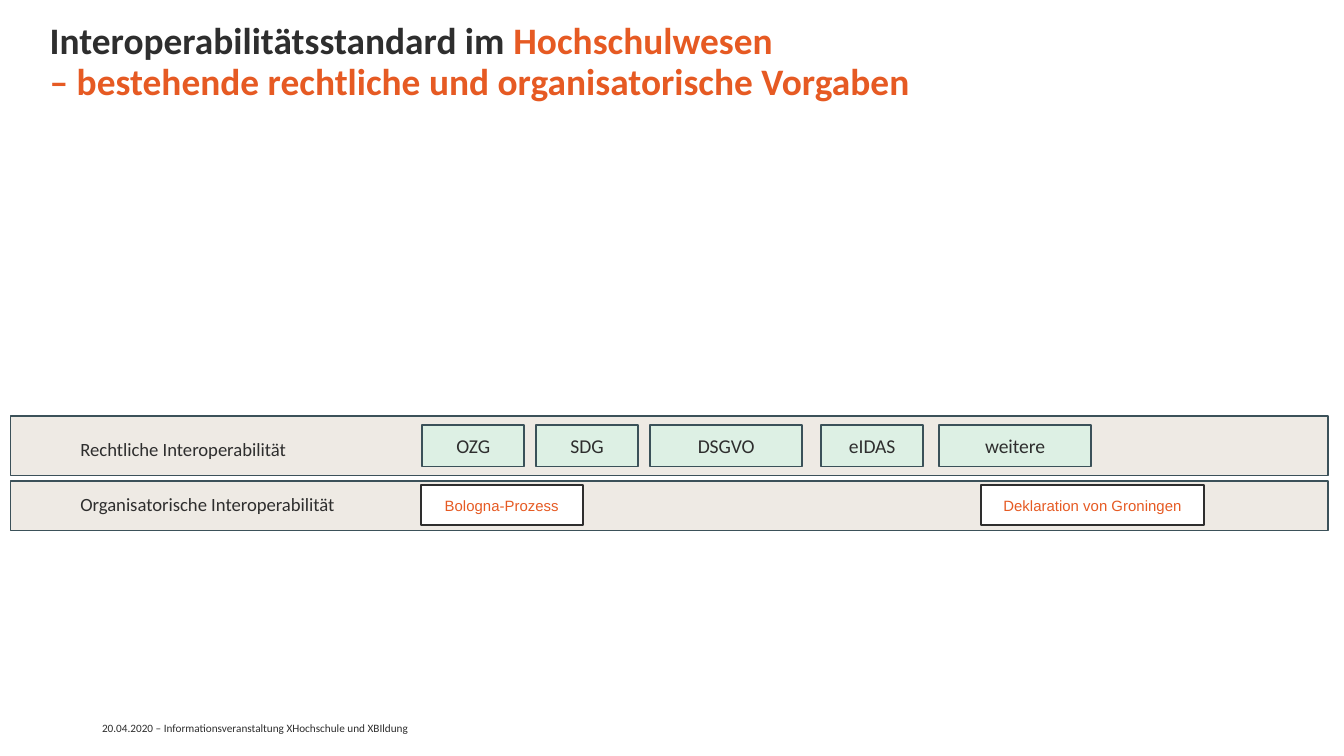
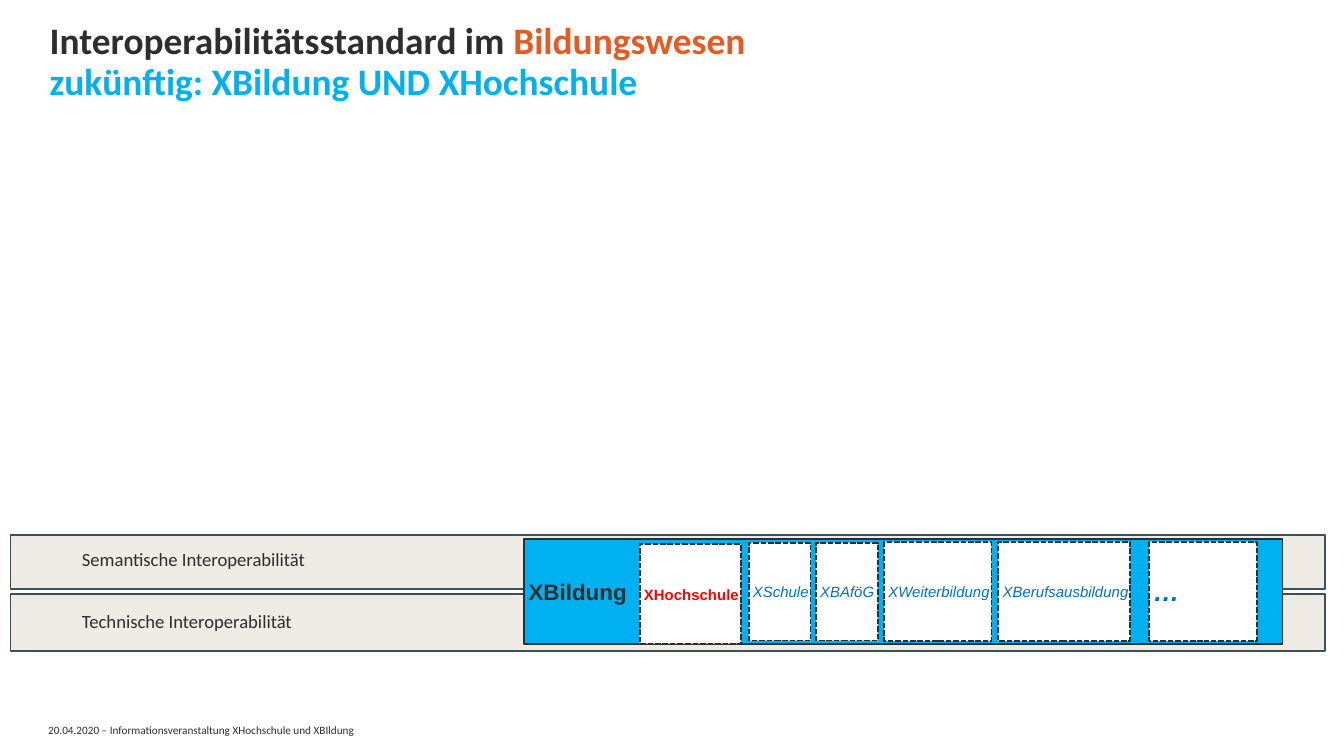
from dataclasses import dataclass
from typing import NamedTuple

from pptx import Presentation
from pptx.dml.color import RGBColor
from pptx.enum.dml import MSO_LINE_DASH_STYLE as DASH
from pptx.enum.shapes import MSO_SHAPE as SHAPE
from pptx.enum.text import MSO_ANCHOR as ANCHOR, PP_ALIGN as ALIGN
from pptx.presentation import Presentation as Deck
from pptx.shapes.autoshape import Shape
from pptx.slide import Slide
from pptx.util import Cm, Pt


@dataclass(frozen=True)
class Theme:
    ink: str = "2E2E2E"
    slate: str = "3B5159"
    sand: str = "EEEAE4"
    mint: str = "DDF0E4"
    white: str = "FFFFFF"
    orange: str = "E65A23"
    cyan: str = "00B0F0"
    blue: str = "0070C0"
    red: str = "FF0000"
    body_font: str = "Calibri"
    box_font: str = "Arial"
    title_size: float = 20
    label_size: float = 10
    law_size: float = 10.5
    box_size: float = 8
    frame_size: float = 12
    dots_size: float = 14
    footer_size: float = 6
    line_width: float = 1


THEME = Theme()
FOOTER = "20.04.2020 – Informationsveranstaltung XHochschule und XBIldung"


class Rect(NamedTuple):
    left: float
    top: float
    width: float
    height: float


class Insets(NamedTuple):
    left: float = 0
    top: float = 0
    right: float = 0
    bottom: float = 0


class Span(NamedTuple):
    text: str
    color: str


class Band(NamedTuple):
    rect: Rect
    label: str
    label_rect: Rect


@dataclass(frozen=True)
class TextStyle:
    size: float
    color: str = THEME.ink
    font: str = THEME.body_font
    bold: bool = False
    italic: bool = False


@dataclass(frozen=True)
class BoxStyle:
    fill: str
    line: str
    text: TextStyle
    align: ALIGN = ALIGN.CENTER
    insets: Insets = Insets()
    dashed: bool = False


@dataclass(frozen=True)
class Box:
    text: str
    rect: Rect
    style: BoxStyle


@dataclass(frozen=True)
class Page:
    title: list[list[Span]]
    title_width: float
    footer_left: float
    footer_top: float
    bands: list[Band]
    boxes: list[Box]


def module_style(text: TextStyle) -> BoxStyle:
    return BoxStyle(THEME.white, THEME.ink, text, ALIGN.LEFT, TEXT_GAP, dashed=True)


TEXT_GAP = Insets(left=0.08)
TITLE = TextStyle(THEME.title_size, bold=True)
LABEL = TextStyle(THEME.label_size)
FOOTNOTE = TextStyle(THEME.footer_size)
BAND = BoxStyle(THEME.sand, THEME.slate, LABEL)
LAW = BoxStyle(THEME.mint, THEME.slate, TextStyle(THEME.law_size),
               insets=Insets(0.25, 0.13, 0.25, 0.13))
AGREEMENT = BoxStyle(THEME.white, THEME.ink,
                     TextStyle(THEME.box_size, THEME.orange, THEME.box_font))
FRAME = BoxStyle(THEME.cyan, THEME.ink,
                 TextStyle(THEME.frame_size, THEME.ink, THEME.box_font, bold=True),
                 ALIGN.LEFT, TEXT_GAP)
CORE_MODULE = module_style(
    TextStyle(THEME.box_size, THEME.red, THEME.box_font, bold=True))
MODULE = module_style(
    TextStyle(THEME.box_size, THEME.blue, THEME.box_font, italic=True))
MORE_MODULES = module_style(
    TextStyle(THEME.dots_size, THEME.blue, THEME.box_font, bold=True, italic=True))

LAWS = [("OZG", 7.98, 1.93), ("SDG", 10.13, 1.93), ("DSGVO", 12.29, 2.87),
        ("eIDAS", 15.52, 1.93), ("weitere", 17.75, 2.87)]
AGREEMENTS = [("Bologna-Prozess", 7.95, 3.07),
              ("Deklaration von Groningen", 18.54, 4.22)]
MODULES = [
    ("XHochschule", Rect(12.09, 10.29, 1.91, 1.88), CORE_MODULE),
    ("XSchule", Rect(14.15, 10.26, 1.17, 1.85), MODULE),
    ("XBAföG", Rect(15.42, 10.26, 1.17, 1.85), MODULE),
    ("XWeiterbildung", Rect(16.71, 10.24, 2.03, 1.88), MODULE),
    ("XBerufsausbildung", Rect(18.87, 10.24, 2.49, 1.88), MODULE),
    ("…", Rect(21.72, 10.24, 2.03, 1.88), MORE_MODULES),
]

PAGES = [
    Page(
        title=[[Span("Interoperabilitätsstandard im ", THEME.ink),
                Span("Hochschulwesen", THEME.orange)],
               [Span("– bestehende rechtliche und organisatorische Vorgaben",
                     THEME.orange)]],
        title_width=23.8,
        footer_left=1.93,
        footer_top=13.64,
        bands=[
            Band(Rect(0.2, 9.09, 24.9, 0.94), "Organisatorische Interoperabilität",
                 Rect(1.27, 9.19, 5.77, 0.69)),
            Band(Rect(0.2, 7.87, 24.9, 1.12), "Rechtliche Interoperabilität",
                 Rect(1.27, 8.15, 4.8, 0.69)),
        ],
        boxes=[Box(text, Rect(left, 8.03, width, 0.79), LAW)
               for text, left, width in LAWS]
        + [Box(text, Rect(left, 9.17, width, 0.76), AGREEMENT)
           for text, left, width in AGREEMENTS],
    ),
    Page(
        title=[[Span("Interoperabilitätsstandard im ", THEME.ink),
                Span("Bildungswesen", THEME.orange)],
               [Span("zukünftig: XBildung UND XHochschule", THEME.cyan)]],
        title_width=19.08,
        footer_left=0.91,
        footer_top=13.67,
        bands=[
            Band(Rect(0.2, 11.23, 24.84, 1.07), "Technische Interoperabilität",
                 Rect(1.3, 11.4, 4.88, 0.69)),
            Band(Rect(0.2, 10.11, 24.84, 1.02), "Semantische Interoperabilität",
                 Rect(1.3, 10.24, 5.16, 0.69)),
        ],
        boxes=[Box("XBildung", Rect(9.91, 10.19, 14.33, 1.98), FRAME)]
        + [Box(*module) for module in MODULES],
    ),
]


def rgb(color: str) -> RGBColor:
    return RGBColor.from_string(color)


def to_cm(rect: Rect) -> list[Cm]:
    return [Cm(length) for length in rect]


def format_run(r, style: TextStyle, color: str) -> None:
    r.font.name = style.font
    r.font.size = Pt(style.size)
    r.font.bold = style.bold
    r.font.italic = style.italic
    r.font.color.rgb = rgb(color)


def set_insets(sp: Shape, insets: Insets) -> None:
    tf = sp.text_frame
    tf.margin_left, tf.margin_top, tf.margin_right, tf.margin_bottom = map(Cm, insets)


def write(sp: Shape, text: str, style: TextStyle) -> None:
    sp.text_frame.text = text
    format_run(sp.text_frame.paragraphs[0].runs[0], style, style.color)


def add_rect(slide: Slide, rect: Rect, style: BoxStyle) -> Shape:
    sp = slide.shapes.add_shape(SHAPE.RECTANGLE, *to_cm(rect))
    sp.shadow.inherit = False
    sp.fill.solid()
    sp.fill.fore_color.rgb = rgb(style.fill)
    sp.line.color.rgb = rgb(style.line)
    sp.line.width = Pt(THEME.line_width)
    if style.dashed:
        sp.line.dash_style = DASH.SQUARE_DOT
    return sp


def add_box(slide: Slide, box: Box) -> None:
    sp = add_rect(slide, box.rect, box.style)
    set_insets(sp, box.style.insets)
    write(sp, box.text, box.style.text)
    tf = sp.text_frame
    tf.word_wrap = True
    tf.vertical_anchor = ANCHOR.MIDDLE
    tf.paragraphs[0].alignment = box.style.align


def add_text(slide: Slide, rect: Rect, text: str, style: TextStyle) -> Shape:
    sp = slide.shapes.add_textbox(*to_cm(rect))
    sp.text_frame.word_wrap = False
    write(sp, text, style)
    return sp


def add_title(slide: Slide, lines: list[list[Span]], width: float) -> None:
    sp = slide.shapes.add_textbox(*to_cm(Rect(0.94, 0.43, width, 2.77)))
    set_insets(sp, Insets())
    sp.text_frame.word_wrap = True
    p = sp.text_frame.paragraphs[0]
    p.line_spacing = 0.9
    for index, spans in enumerate(lines):
        if index:
            p.add_line_break()
        for span in spans:
            r = p.add_run()
            r.text = span.text
            format_run(r, TITLE, span.color)


def add_page(prs: Deck, page: Page) -> None:
    slide = prs.slides.add_slide(prs.slide_layouts[6])
    for band in page.bands:
        add_rect(slide, band.rect, BAND)
    add_title(slide, page.title, page.title_width)
    footer_rect = Rect(page.footer_left, page.footer_top, 8.56, 0.41)
    set_insets(add_text(slide, footer_rect, FOOTER, FOOTNOTE), Insets())
    for band in page.bands:
        add_text(slide, band.label_rect, band.label, LABEL)
    for box in page.boxes:
        add_box(slide, box)


def main() -> None:
    prs = Presentation()
    prs.slide_width, prs.slide_height = Cm(25.4), Cm(14.29)
    for page in PAGES:
        add_page(prs, page)
    prs.save("out.pptx")


if __name__ == "__main__":
    main()
